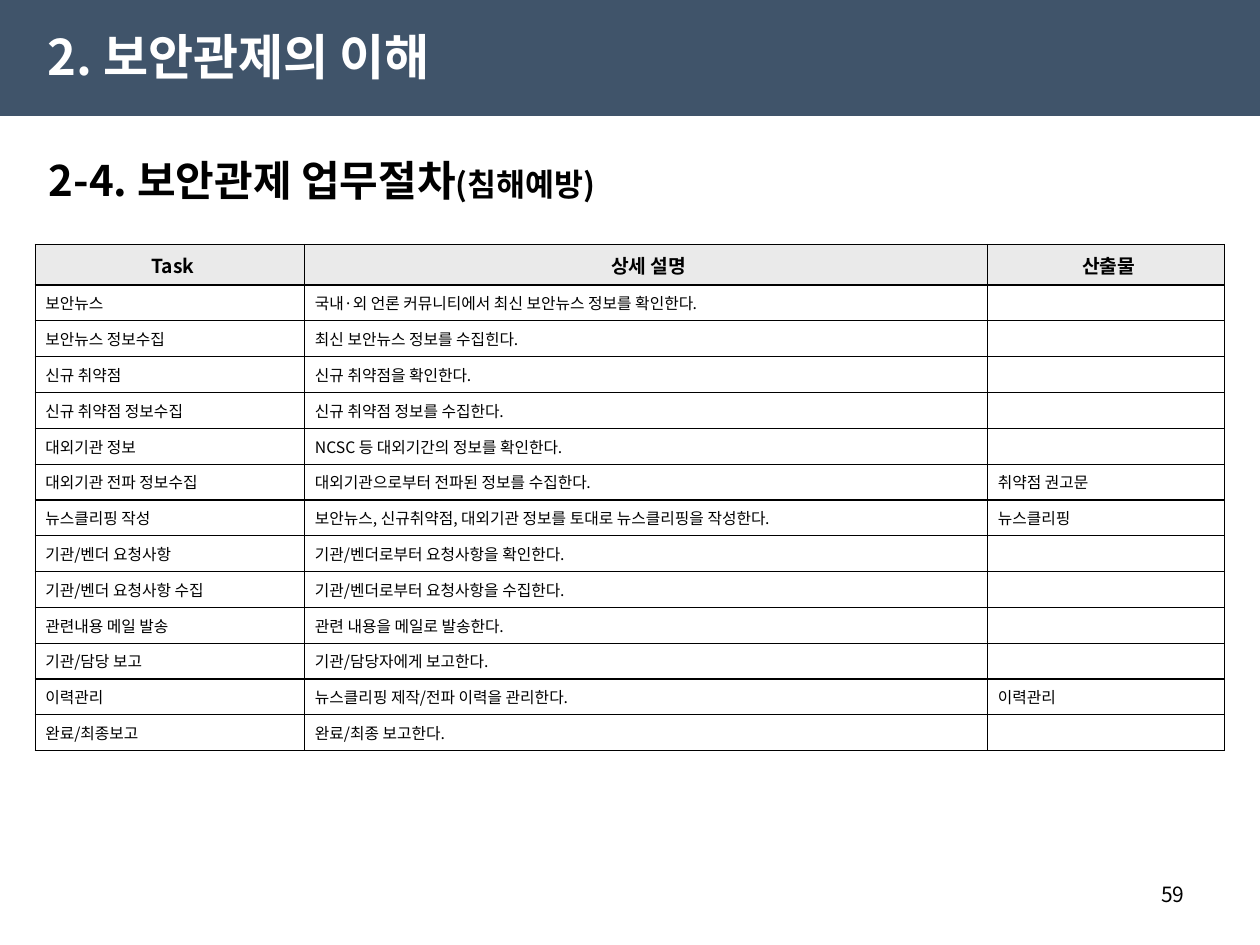
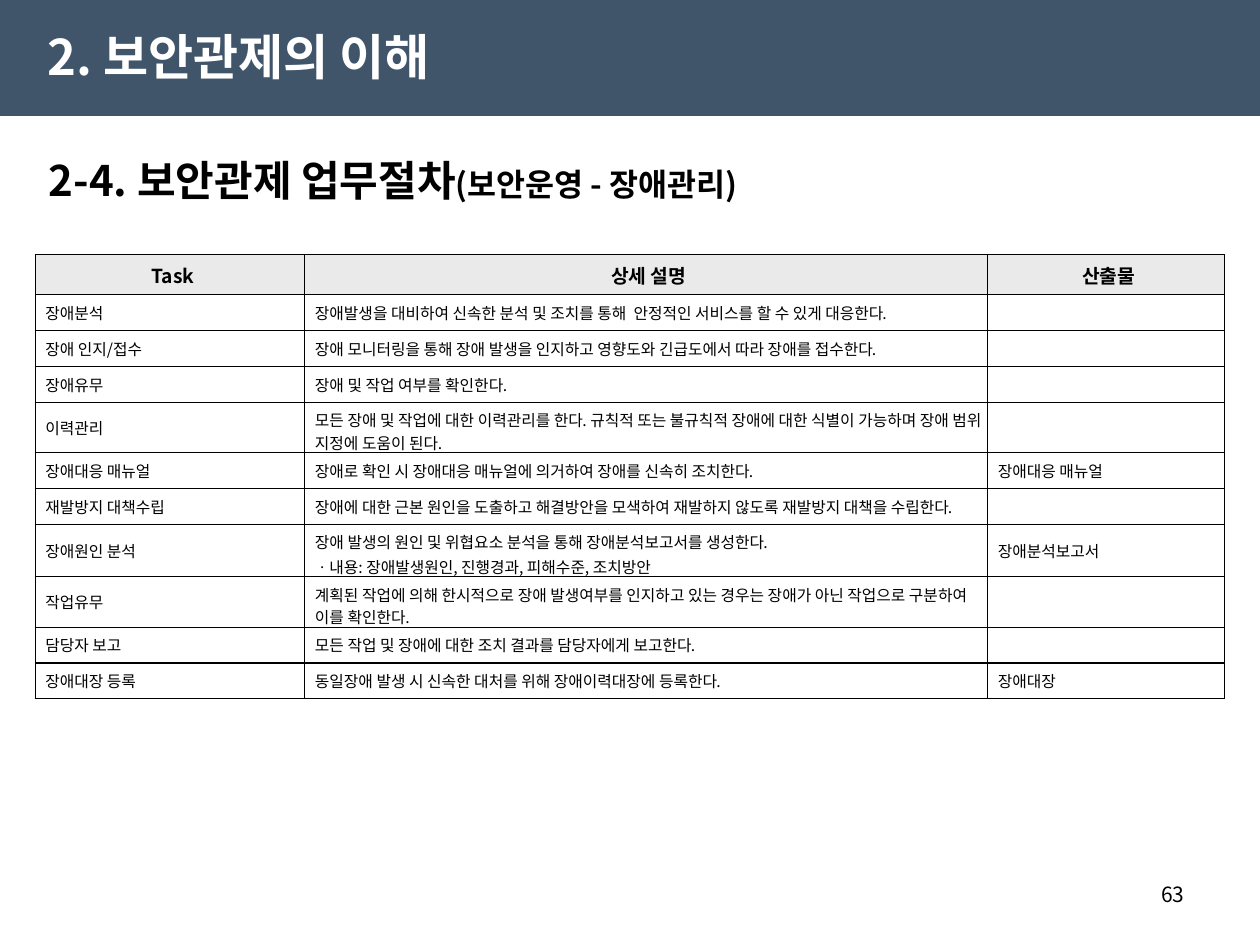
from lxml import etree
from pptx import Presentation
from pptx import util as u
from pptx.dml import color
from pptx.enum import shapes, text
from pptx.oxml import ns

FONT = "Noto Sans CJK KR"
BAND, HEADER_FILL, BLACK, WHITE = "40546A", "EAEAEA", "000000", "FFFFFF"
COLUMN_WIDTHS = (2.14, 5.42, 1.88)
HEADER_HEIGHT = 0.32
ROW_HEIGHT = 3.7 / 13
HEADINGS = ("Task", "상세 설명", "산출물")
CHAPTER = "2. 보안관제의 이해"
SECTION = "2-4. 보안관제 업무절차"

PREVENTION_TASKS = [
    ("보안뉴스", "국내·외 언론 커뮤니티에서 최신 보안뉴스 정보를 확인한다.", ""),
    ("보안뉴스 정보수집", "최신 보안뉴스 정보를 수집힌다.", ""),
    ("신규 취약점", "신규 취약점을 확인한다.", ""),
    ("신규 취약점 정보수집", "신규 취약점 정보를 수집한다.", ""),
    ("대외기관 정보", "NCSC 등 대외기간의 정보를 확인한다.", ""),
    ("대외기관 전파 정보수집", "대외기관으로부터 전파된 정보를 수집한다.", "취약점 권고문"),
    ("뉴스클리핑 작성", "보안뉴스, 신규취약점, 대외기관 정보를 토대로 뉴스클리핑을 작성한다.", "뉴스클리핑"),
    ("기관/벤더 요청사항", "기관/벤더로부터 요청사항을 확인한다.", ""),
    ("기관/벤더 요청사항 수집", "기관/벤더로부터 요청사항을 수집한다.", ""),
    ("관련내용 메일 발송", "관련 내용을 메일로 발송한다.", ""),
    ("기관/담당 보고", "기관/담당자에게 보고한다.", ""),
    ("이력관리", "뉴스클리핑 제작/전파 이력을 관리한다.", "이력관리"),
    ("완료/최종보고", "완료/최종 보고한다.", ""),
]

INCIDENT_TASKS = [
    ("장애분석", "장애발생을 대비하여 신속한 분석 및 조치를 통해  안정적인 서비스를 할 수 있게 대응한다.", ""),
    ("장애 인지/접수", "장애 모니터링을 통해 장애 발생을 인지하고 영향도와 긴급도에서 따라 장애를 접수한다.", ""),
    ("장애유무", "장애 및 작업 여부를 확인한다.", ""),
    ("이력관리", "모든 장애 및 작업에 대한 이력관리를 한다. 규칙적 또는 불규칙적 장애에 대한 "
     "식별이 가능하며 장애 범위 지정에 도움이 된다.", ""),
    ("장애대응 매뉴얼", "장애로 확인 시 장애대응 매뉴얼에 의거하여 장애를 신속히 조치한다.", "장애대응 매뉴얼"),
    ("재발방지 대책수립", "장애에 대한 근본 원인을 도출하고 해결방안을 모색하여 재발하지 않도록 "
     "재발방지 대책을 수립한다.", ""),
    ("장애원인 분석", "장애 발생의 원인 및 위협요소 분석을 통해 장애분석보고서를 생성한다.\n"
     "ㆍ내용: 장애발생원인, 진행경과, 피해수준, 조치방안", "장애분석보고서"),
    ("작업유무", "계획된 작업에 의해 한시적으로 장애 발생여부를 인지하고 있는 경우는 장애가 아닌 "
     "작업으로 구분하여 이를 확인한다.", ""),
    ("담당자 보고", "모든 작업 및 장애에 대한 조치 결과를 담당자에게 보고한다.", ""),
    ("장애대장 등록", "동일장애 발생 시 신속한 대처를 위해 장애이력대장에 등록한다.", "장애대장"),
]


def rgb(value):
    return color.RGBColor.from_string(value)


def write(paragraph, words, size=9, ink=BLACK, bold=False, align=None):
    if align is not None:
        paragraph.alignment = align
    if not words:
        etree.SubElement(paragraph._p, ns.qn("a:endParaRPr"), sz=str(size * 100))
        return
    run = paragraph.add_run()
    run.text = words
    run.font.size = u.Pt(size)
    run.font.bold = bold
    run.font.name = FONT
    run.font.color.rgb = rgb(ink)
    etree.SubElement(run.font._element, ns.qn("a:ea"), typeface=FONT)


def add_label(slide, left, top, width, height, anchor=text.MSO_ANCHOR.MIDDLE):
    frame = slide.shapes.add_textbox(*map(u.Inches, (left, top, width, height))).text_frame
    frame.word_wrap = True
    frame.vertical_anchor = anchor
    return frame.paragraphs[0]


def add_band(slide):
    band = slide.shapes.add_shape(shapes.MSO_SHAPE.RECTANGLE, 0, 0, u.Inches(10), u.Inches(0.92))
    band.shadow.inherit = False
    band.fill.solid()
    band.fill.fore_color.rgb = rgb(BAND)
    band.line.fill.background()


def add_borders(cell):
    properties = cell._tc.get_or_add_tcPr()
    for side in ("lnL", "lnR", "lnT", "lnB"):
        border = etree.SubElement(properties, ns.qn(f"a:{side}"), w=str(u.Pt(0.75)))
        fill = etree.SubElement(border, ns.qn("a:solidFill"))
        etree.SubElement(fill, ns.qn("a:srgbClr"), val=BLACK)


def fill_cell(cell, words, heading):
    cell.vertical_anchor = text.MSO_ANCHOR.MIDDLE
    cell.margin_left, cell.margin_right = u.Inches(0.08), u.Inches(0.04)
    cell.margin_top = cell.margin_bottom = u.Inches(0.05)
    add_borders(cell)
    if heading:
        cell.fill.solid()
        cell.fill.fore_color.rgb = rgb(HEADER_FILL)
        style = dict(size=11, bold=True, align=text.PP_ALIGN.CENTER)
    else:
        cell.fill.background()
        style = {}
    for index, line in enumerate(words.split("\n")):
        frame = cell.text_frame
        paragraph = frame.add_paragraph() if index else frame.paragraphs[0]
        if index:
            paragraph.space_before = u.Pt(0.9)
        write(paragraph, line, **style)


def add_task_table(slide, top, tasks):
    rows = [HEADINGS, *tasks]
    height = HEADER_HEIGHT + ROW_HEIGHT * len(tasks)
    table = slide.shapes.add_table(
        len(rows), len(HEADINGS), u.Inches(0.28), u.Inches(top),
        u.Inches(sum(COLUMN_WIDTHS)), u.Inches(height)).table
    table.first_row = table.horz_banding = False
    for column, width in zip(table.columns, COLUMN_WIDTHS):
        column.width = u.Inches(width)
    for index, entries in enumerate(rows):
        table.rows[index].height = u.Inches(ROW_HEIGHT if index else HEADER_HEIGHT)
        for cell, words in zip(table.rows[index].cells, entries):
            fill_cell(cell, words, heading=index == 0)


def add_procedure_slide(deck, topic, page, table_top, tasks):
    slide = deck.slides.add_slide(deck.slide_layouts[6])
    add_band(slide)
    add_task_table(slide, table_top, tasks)
    write(add_label(slide, 0.28, 0.13, 4.72, 0.63), CHAPTER, size=28, ink=WHITE, bold=True)
    section = add_label(slide, 0.29, 1.15, 9.43, 0.55)
    write(section, SECTION, size=24, bold=True)
    write(section, f"({topic})", size=18, bold=True)
    number = add_label(slide, 7.17, 6.95, 2.33, 0.4, anchor=text.MSO_ANCHOR.TOP)
    write(number, page, size=12, align=text.PP_ALIGN.RIGHT)


def main():
    deck = Presentation()
    deck.slide_width, deck.slide_height = u.Inches(10), u.Inches(7.5)
    add_procedure_slide(deck, "침해예방", "59", 1.94, PREVENTION_TASKS)
    add_procedure_slide(deck, "보안운영 - 장애관리", "63", 2.02, INCIDENT_TASKS)
    deck.save("out.pptx")


if __name__ == "__main__":
    main()
